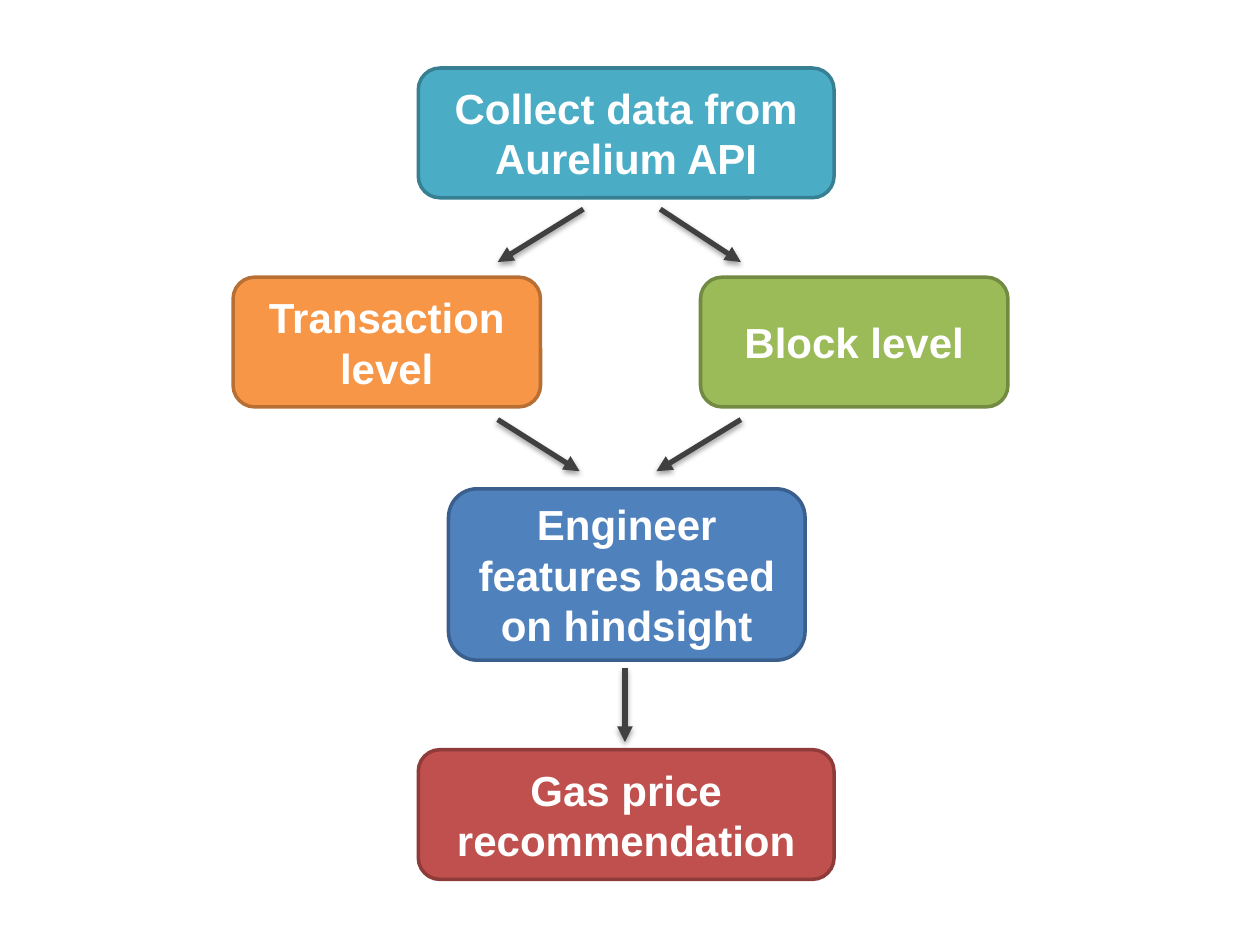
from lxml import etree
from pptx import Presentation
from pptx.dml.color import RGBColor
from pptx.enum.shapes import MSO_CONNECTOR, MSO_SHAPE
from pptx.enum.text import MSO_ANCHOR, PP_ALIGN
from pptx.oxml import parse_xml
from pptx.oxml.ns import nsdecls, qn
from pptx.util import Pt

ROUNDED = MSO_SHAPE.ROUNDED_RECTANGLE
STRAIGHT = MSO_CONNECTOR.STRAIGHT
MIDDLE = MSO_ANCHOR.MIDDLE
CENTER = PP_ALIGN.CENTER

EMU_PER_PX = 9144
BLANK_LAYOUT = 6
FONT = "Arial"
ARROW_COLOR = "404040"

STEPS = [
    ("Collect data from Aurelium API", (147, 0, 330, 103), "4BACC6", "377F92"),
    ("Transaction level", (0, 166, 244, 103), "F79646", "B76F34"),
    ("Block level", (371, 166, 244, 103), "9BBB59", "738A42"),
    ("Engineer features based on hindsight", (171, 334, 283, 136), "4F81BD", "3A5F8C"),
    ("Gas price recommendation", (147, 541, 330, 103), "C0504D", "8E3B39"),
]
ARROWS = [
    ((278, 112), (210, 154)),
    ((339, 112), (403, 154)),
    ((210, 279), (275, 320)),
    ((403, 279), (336, 320)),
    ((311, 476), (311, 535)),
]
ARROW_SHADOW = (
    f'<a:effectLst {nsdecls("a")}>'
    '<a:outerShdw blurRad="40000" dist="20000" dir="5400000" rotWithShape="0">'
    '<a:srgbClr val="000000"><a:alpha val="38000"/></a:srgbClr>'
    '</a:outerShdw></a:effectLst>'
)


def px(length):
    return length * EMU_PER_PX


def color(value):
    return RGBColor.from_string(value)


def add_step(slide, text, box, fill, outline):
    shape = slide.shapes.add_shape(ROUNDED, *map(px, box))
    shape.shadow.inherit = False
    shape.fill.solid()
    shape.fill.fore_color.rgb = color(fill)
    shape.line.color.rgb = color(outline)
    shape.line.width = Pt(2)
    text_frame = shape.text_frame
    text_frame.word_wrap = True
    text_frame.vertical_anchor = MIDDLE
    text_frame.text = text
    paragraph = text_frame.paragraphs[0]
    paragraph.alignment = CENTER
    font = paragraph.runs[0].font
    font.name = FONT
    font.size = Pt(24)
    font.bold = True
    font.color.rgb = color("FFFFFF")


def add_arrow(slide, start, end):
    connector = slide.shapes.add_connector(STRAIGHT, *map(px, start + end))
    connector.line.color.rgb = color(ARROW_COLOR)
    connector.line.width = Pt(3)
    line = connector.line._get_or_add_ln()
    etree.SubElement(line, qn("a:tailEnd"), type="triangle")
    connector._element.spPr.append(parse_xml(ARROW_SHADOW))


def add_flowchart(slide, left, top):
    for text, (x, y, width, height), fill, outline in STEPS:
        add_step(slide, text, (left + x, top + y, width, height), fill, outline)
    for start, end in ARROWS:
        add_arrow(
            slide,
            (left + start[0], top + start[1]),
            (left + end[0], top + end[1]),
        )


def main():
    presentation = Presentation()
    presentation.slide_width = px(1000)
    presentation.slide_height = px(750)
    slide = presentation.slides.add_slide(presentation.slide_layouts[BLANK_LAYOUT])
    add_flowchart(slide, 185, 54)
    presentation.save("out.pptx")


if __name__ == "__main__":
    main()
